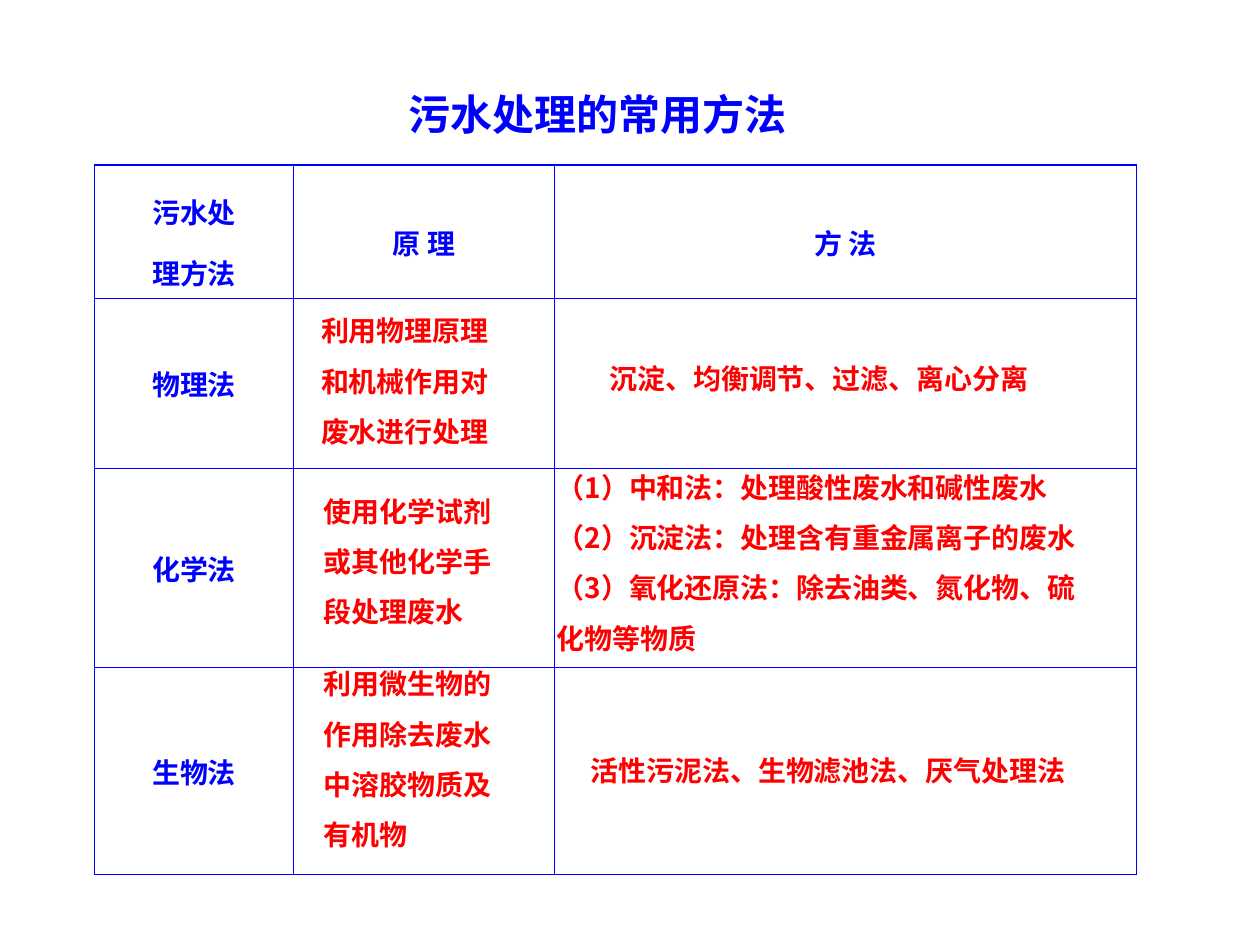
from lxml import etree
from pptx import Presentation
from pptx.dml.color import RGBColor
from pptx.enum.text import MSO_ANCHOR, PP_ALIGN
from pptx.oxml.ns import qn
from pptx.util import Inches, Pt

BLUE = RGBColor(0x00, 0x00, 0xFF)
RED = RGBColor(0xFF, 0x00, 0x00)
FONT = "Noto Sans CJK SC"
THIN, THICK = Pt(0.45), Pt(1.08)


def write_lines(tf, lines, size, color, spacing=1.0, align=PP_ALIGN.LEFT):
    for i, line in enumerate(lines):
        p = tf.paragraphs[0] if i == 0 else tf.add_paragraph()
        p.text = line
        p.alignment = align
        p.line_spacing = spacing
        font = p.font
        font.name = FONT
        font.size = Pt(size)
        font.bold = True
        font.color.rgb = color
        etree.SubElement(font._element, qn("a:ea"), typeface=FONT)


def set_border(cell, side, width):
    """Draw one cell edge; side is L, R, T or B."""
    ln = etree.SubElement(cell._tc.get_or_add_tcPr(), qn(f"a:ln{side}"), w=str(int(width)))
    fill = etree.SubElement(ln, qn("a:solidFill"))
    etree.SubElement(fill, qn("a:srgbClr"), val=str(BLUE))


prs = Presentation()
prs.slide_width, prs.slide_height = Inches(10), Inches(7.5)
s = prs.slides.add_slide(prs.slide_layouts[6])

# Table with the headings and the names of the methods
col_widths = [1.58, 2.07, 4.62]
row_heights = [1, 1.35, 1.58, 1.64]
labels = {
    (0, 0): ["污水处", "理方法"],
    (0, 1): ["原 理"],
    (0, 2): ["方 法"],
    (1, 0): ["物理法"],
    (2, 0): ["化学法"],
    (3, 0): ["生物法"],
}
frame = s.shapes.add_table(4, 3, Inches(0.75), Inches(1.31), Inches(8.26), Inches(5.57))
table = frame.table
table.first_row = table.horz_banding = False
for col, width in zip(table.columns, col_widths):
    col.width = Inches(width)
for r, height in enumerate(row_heights):
    table.rows[r].height = Inches(height)
    for c in range(len(col_widths)):
        cell = table.cell(r, c)
        cell.vertical_anchor = MSO_ANCHOR.MIDDLE
        set_border(cell, "L", THICK if c == 0 else THIN)
        set_border(cell, "R", THICK if c == 2 else THIN)
        set_border(cell, "T", THICK if r == 0 else THIN)
        set_border(cell, "B", THICK if r == 3 else THIN)
        cell.fill.background()
        if (r, c) in labels:
            write_lines(cell.text_frame, labels[r, c], 16, BLUE,
                        1.5 if r == 0 else 1.0, PP_ALIGN.CENTER)

# Title and the explanations laid over the table
texts = [
    (3.14, 0.65, 4.41, 0.5, 24, BLUE, 1.0, ["污水处理的常用方法"]),
    (4.74, 2.82, 3.8, 0.37, 16, RED, 1.0, ["沉淀、均衡调节、过滤、离心分离"]),
    (2.45, 2.31, 1.72, 1.3, 16, RED, 1.5, ["利用物理原理", "和机械作用对", "废水进行处理"]),
    (4.32, 3.55, 4.69, 1.7, 16, RED, 1.5, [
        "（1）中和法：处理酸性废水和碱性废水",
        "（2）沉淀法：处理含有重金属离子的废水",
        "（3）氧化还原法：除去油类、氮化物、硫",
        "化物等物质",
    ]),
    (2.47, 3.74, 1.77, 1.3, 16, RED, 1.5, ["使用化学试剂", "或其他化学手", "段处理废水"]),
    (2.47, 5.11, 1.82, 1.7, 16, RED, 1.5,
     ["利用微生物的", "作用除去废水", "中溶胶物质及", "有机物"]),
    (4.59, 5.93, 4.22, 0.37, 16, RED, 1.0, ["活性污泥法、生物滤池法、厌气处理法"]),
]
for left, top, width, height, size, color, spacing, lines in texts:
    box = s.shapes.add_textbox(Inches(left), Inches(top), Inches(width), Inches(height))
    tf = box.text_frame
    tf.word_wrap = True
    write_lines(tf, lines, size, color, spacing)

prs.save("out.pptx")
